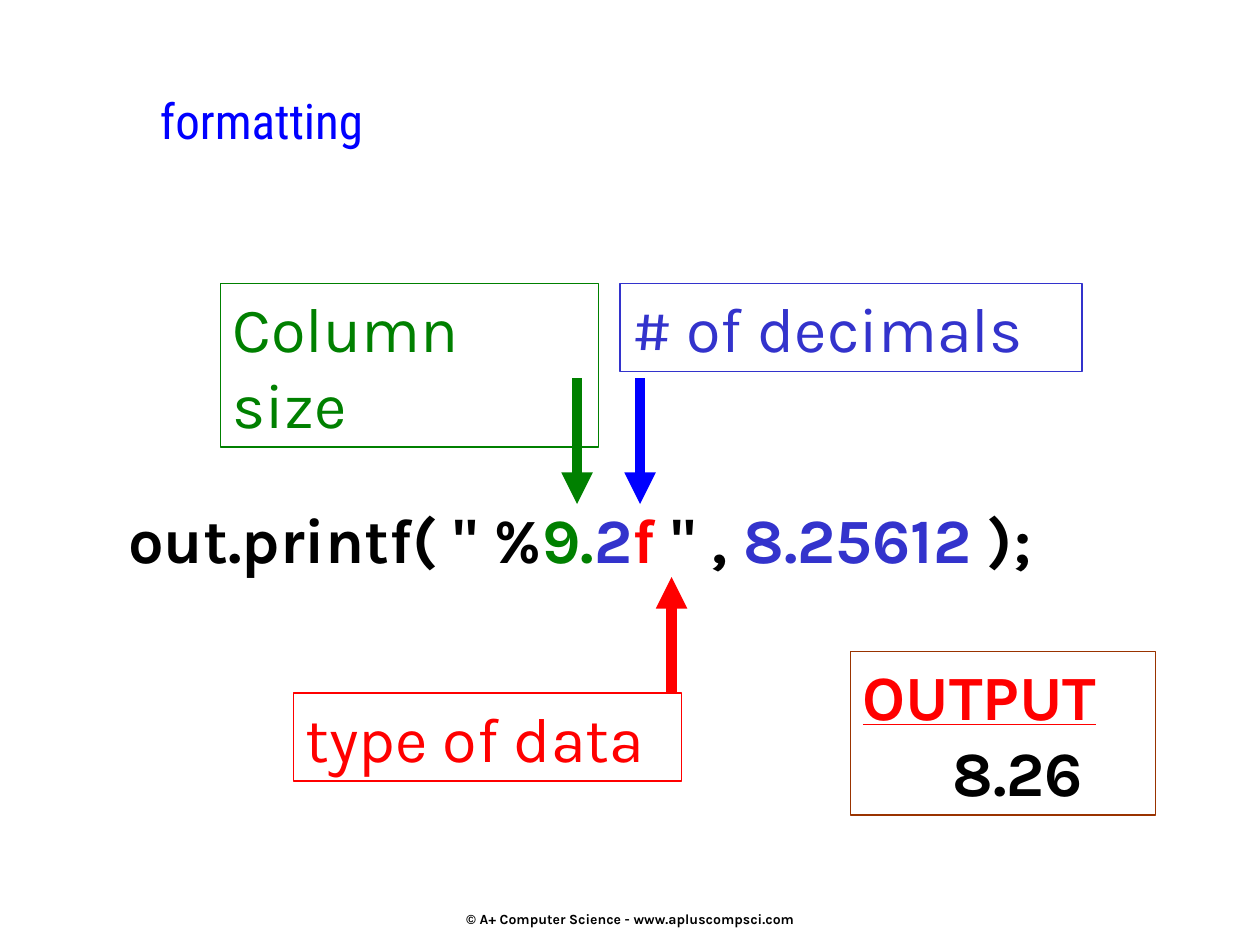
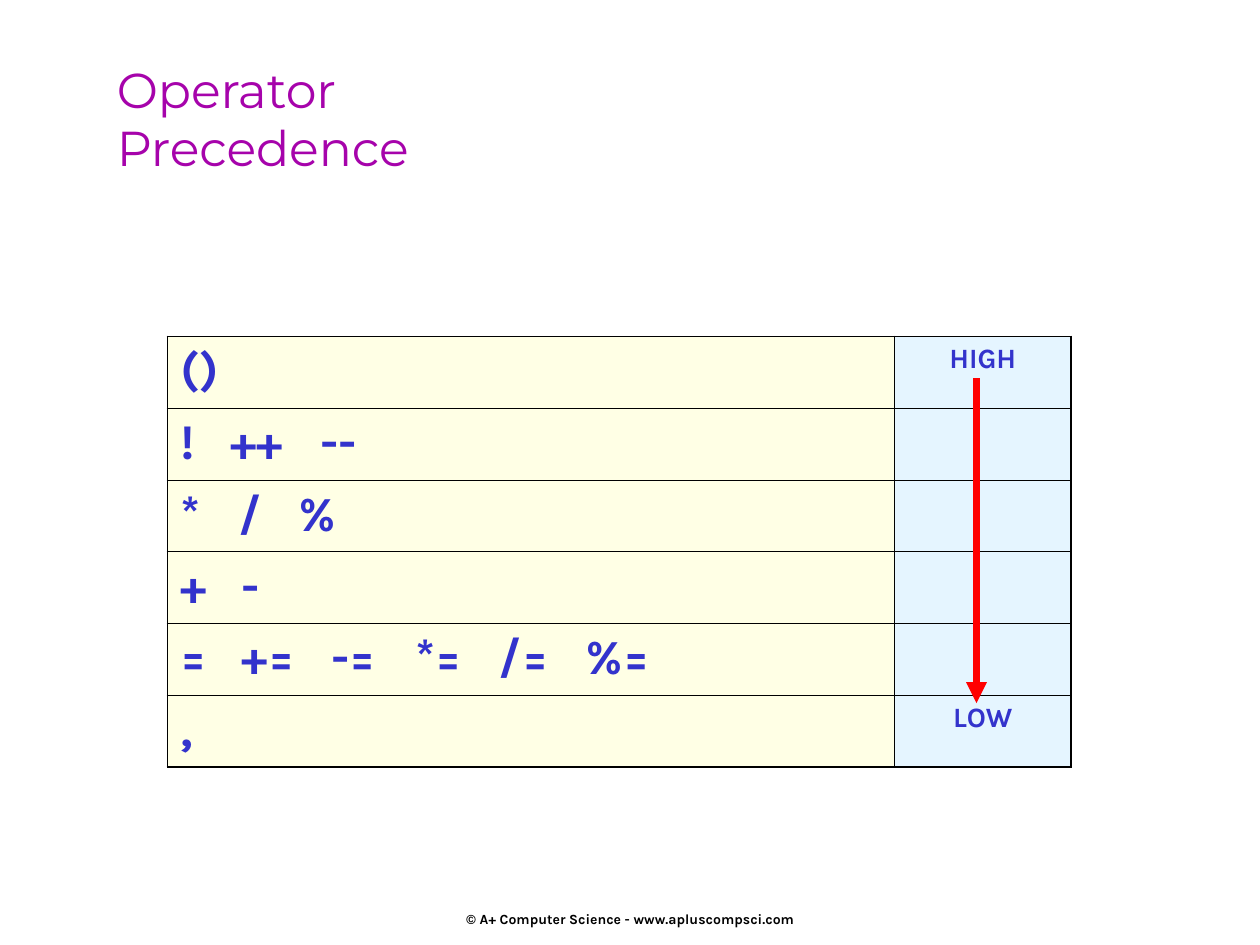
from dataclasses import dataclass

from lxml import etree
from pptx import Presentation
from pptx import util as u
from pptx.dml.color import RGBColor
from pptx.enum import shapes, text
from pptx.oxml.ns import qn


@dataclass(frozen=True)
class Theme:
    # Colours
    black: str = "000000"
    blue: str = "0000FF"
    indigo: str = "3333CC"
    green: str = "008000"
    red: str = "FF0000"
    brown: str = "993300"
    purple: str = "A603AB"
    cream: str = "FFFFE5"
    sky: str = "E5F5FF"
    # Fonts and type sizes
    body_font: str = "Karla"
    code_size: int = 36
    title_size: int = 28
    operator_size: int = 28
    rank_size: int = 16
    footer_size: int = 8
    # Line widths
    frame_line: float = 1
    cell_thick: float = 1.08
    cell_thin: float = 0.45


@dataclass(frozen=True)
class Span:
    words: str
    color: str
    size: int = 36
    bold: bool = False
    underline: bool = False
    font: str = "Karla"


FOOTER = "© A+ Computer Science - www.apluscompsci.com"
LEFT, CENTER = text.PP_ALIGN.LEFT, text.PP_ALIGN.CENTER


class Board:
    """Holds the theme, the deck and the page being drawn."""

    def __init__(self, theme):
        self.theme = theme
        self.deck = Presentation()
        self.deck.slide_width = u.Inches(10)
        self.deck.slide_height = u.Inches(7.5)
        self.page = None

    def new_page(self):
        self.page = self.deck.slides.add_slide(self.deck.slide_layouts[6])
        footer = Span(FOOTER, self.theme.black, self.theme.footer_size, bold=True)
        self.text_box((3.42, 7.04, 3.17, 0.5), [[footer]], wrap=False,
                      align=CENTER, anchor=text.MSO_ANCHOR.MIDDLE)

    def fill_para(self, para, spans, align=LEFT, tabs=(), indent=0):
        props = para._p.get_or_add_pPr()
        if indent:
            props.set("marL", str(u.Inches(indent)))
            props.set("indent", "0")
        if tabs:
            stops = etree.SubElement(props, qn("a:tabLst"))
            for stop in tabs:
                etree.SubElement(stops, qn("a:tab"), pos=str(u.Inches(stop)), algn="l")
        para.alignment = align
        for span in spans:
            run = para.add_run()
            run.text = span.words
            run.font.name = span.font
            run.font.size = u.Pt(span.size)
            run.font.bold = span.bold
            run.font.underline = span.underline
            run.font.color.rgb = RGBColor.from_string(span.color)

    def fill_frame(self, frame, paras, wrap, align=LEFT, anchor=text.MSO_ANCHOR.TOP,
                   last_indent=0):
        frame.word_wrap = wrap
        frame.vertical_anchor = anchor
        for index, spans in enumerate(paras):
            para = frame.add_paragraph() if index else frame.paragraphs[0]
            indent = last_indent if index == len(paras) - 1 else 0
            self.fill_para(para, spans, align, indent=indent)

    def text_box(self, place, paras, wrap=True, **layout):
        box = self.page.shapes.add_textbox(*map(u.Inches, place))
        self.fill_frame(box.text_frame, paras, wrap, **layout)

    def title(self, place, lines, color, font):
        size = self.theme.title_size
        paras = [[Span(line, color, size, font=font)] for line in lines]
        self.text_box(place, paras, wrap=False)

    def framed_box(self, place, color, paras, **layout):
        box = self.page.shapes.add_shape(shapes.MSO_SHAPE.RECTANGLE, *map(u.Inches, place))
        box.shadow.inherit = False
        box.fill.background()
        box.line.color.rgb = RGBColor.from_string(color)
        box.line.width = u.Pt(self.theme.frame_line)
        self.fill_frame(box.text_frame, paras, wrap=True, **layout)

    def arrow(self, x, top, bottom, color, width):
        """Vertical arrow from the first height to the second."""
        line = self.page.shapes.add_connector(
            shapes.MSO_CONNECTOR.STRAIGHT,
            *map(u.Inches, (x, top, x, bottom)))
        line.line.color.rgb = RGBColor.from_string(color)
        line.line.width = u.Pt(width)
        props = line._element.spPr
        etree.SubElement(props.find(qn("a:ln")), qn("a:tailEnd"), type="triangle")
        etree.SubElement(props, qn("a:effectLst"))

    def style_cell(self, cell, fill, first, last):
        theme = self.theme
        widths = {
            "L": theme.cell_thick,
            "R": theme.cell_thick,
            "T": theme.cell_thick if first else theme.cell_thin,
            "B": theme.cell_thick if last else theme.cell_thin,
        }
        props = cell._tc.get_or_add_tcPr()
        for side, width in widths.items():
            line = etree.SubElement(props, qn(f"a:ln{side}"), w=str(u.Pt(width)))
            solid = etree.SubElement(line, qn("a:solidFill"))
            etree.SubElement(solid, qn("a:srgbClr"), val=theme.black)
        cell.fill.solid()
        cell.fill.fore_color.rgb = RGBColor.from_string(fill)

    def precedence_table(self, left, top, widths, row_height, rows):
        """Each row holds its operators, their tab stops and a rank label."""
        theme = self.theme
        table = self.page.shapes.add_table(
            len(rows), len(widths), u.Inches(left), u.Inches(top),
            u.Inches(sum(widths)), u.Inches(row_height * len(rows))).table
        for column, width in zip(table.columns, widths):
            column.width = u.Inches(width)
        for index, (operators, tabs, rank) in enumerate(rows):
            table.rows[index].height = u.Inches(row_height)
            for column, fill in enumerate((theme.cream, theme.sky)):
                self.style_cell(table.cell(index, column), fill,
                                index == 0, index == len(rows) - 1)
            signs = Span("\t".join(operators), theme.indigo, theme.operator_size, bold=True)
            self.fill_para(table.cell(index, 0).text_frame.paragraphs[0], [signs], tabs=tabs)
            if rank:
                label = Span(rank, theme.indigo, theme.rank_size, bold=True)
                self.fill_para(table.cell(index, 1).text_frame.paragraphs[0],
                               [label], CENTER)


def formatting_page(board):
    theme = board.theme
    board.new_page()
    board.title((1.17, 0.67, 7.58, 0.75), ["formatting"], theme.blue, "Roboto Condensed")

    # Output panel
    board.framed_box((6.75, 5.17, 2.42, 1.3), theme.brown, [
        [Span("OUTPUT", theme.red, bold=True, underline=True)],
        [Span("8.26", theme.black, bold=True)],
    ], last_indent=0.71)

    # Code line, coloured by part
    code = [
        ("out.printf( \" %", theme.black), ("9.", theme.green), ("2", theme.indigo),
        ("f", theme.red), (" \" , ", theme.black), ("8.25612 ", theme.indigo),
        (");", theme.black),
    ]
    board.text_box((0.92, 3.92, 7.72, 0.7),
                   [[Span(words, color, theme.code_size, bold=True) for words, color in code]])

    # Callouts
    callouts = [
        ("Column size", (1.75, 2.25, 3, 1.3), theme.green),
        ("# of decimals", (4.92, 2.25, 3.67, 0.7), theme.indigo),
        ("type of data", (2.33, 5.5, 3.08, 0.7), theme.red),
    ]
    for words, place, color in callouts:
        board.framed_box(place, color, [[Span(words, color, theme.code_size)]])

    # Arrows to the parts of the format
    for x, start, end, color in [(5.08, 3, 4, theme.blue), (4.58, 3, 4, theme.green),
                                 (5.33, 5.5, 4.58, theme.red)]:
        board.arrow(x, start, end, color, 6)


def precedence_page(board):
    theme = board.theme
    board.new_page()
    board.title((0.83, 0.42, 8.17, 1.67), ["Operator", "Precedence"],
                theme.purple, "Montserrat")

    # Operators from highest to lowest
    board.precedence_table(1.33, 2.67, (5.77, 1.4), 0.57, [
        (["()"], [], "HIGH"),
        (["!", "++", "--"], [0.4, 1.11], ""),
        (["*", "/", "%"], [0.46, 0.94], ""),
        (["+", "-"], [0.49], ""),
        (["=", "+=", "-=", "*=", "/=", "%="], [0.49, 1.2, 1.87, 2.53, 3.22], ""),
        ([","], [], "LOW"),
    ])
    board.arrow(7.75, 3, 5.58, theme.red, 4)


def main():
    board = Board(Theme())
    formatting_page(board)
    precedence_page(board)
    board.deck.save("out.pptx")


if __name__ == "__main__":
    main()
